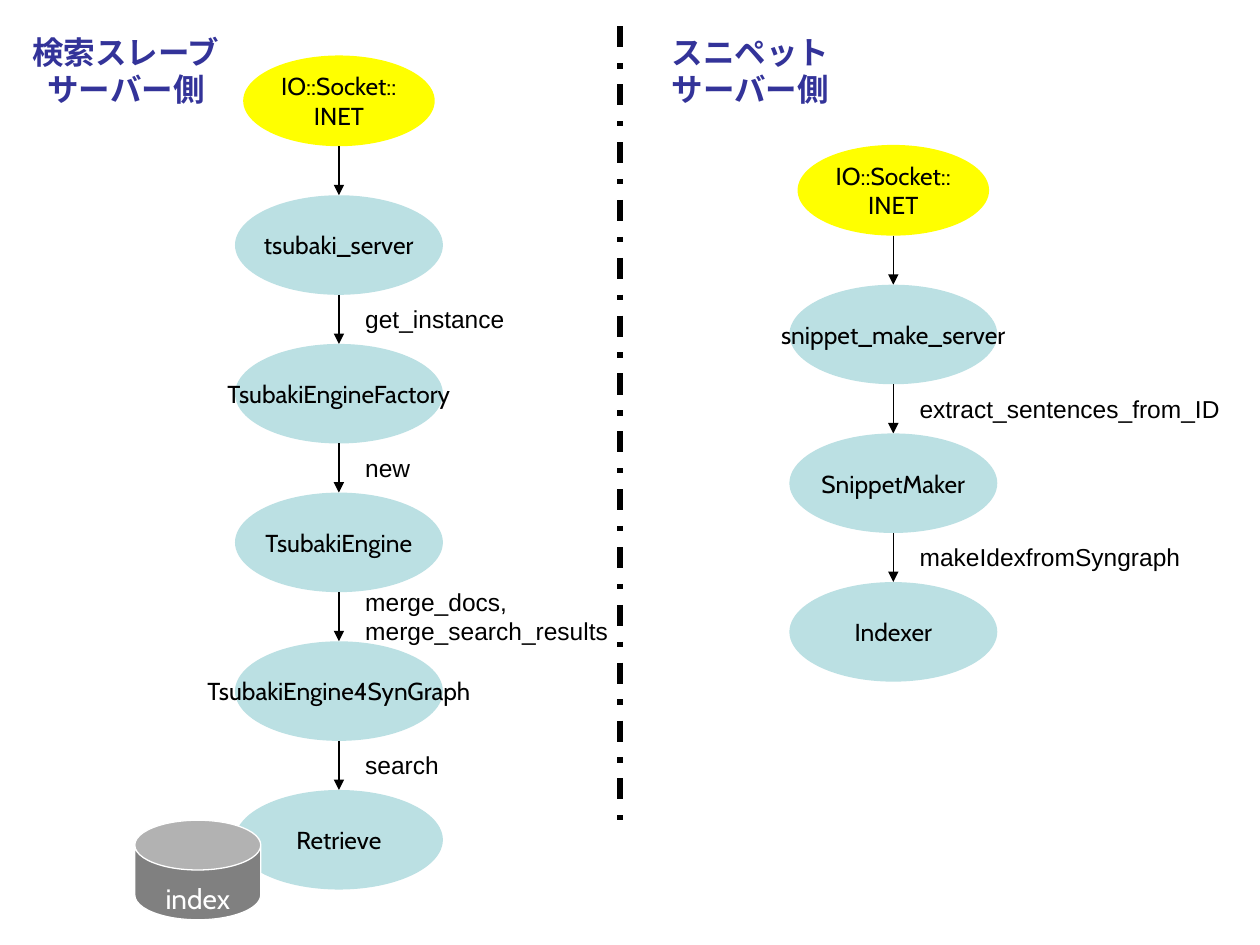
from lxml import etree
from pptx import Presentation
from pptx.dml.color import RGBColor
from pptx.enum import dml, shapes, text
from pptx.oxml.ns import qn
from pptx.util import Inches, Pt

COLORS = {
    "socket": "FFFF00", "module": "BBE0E3", "index": "808080",
    "heading": "333399", "black": "000000", "white": "FFFFFF",
}

# Flow grid, in inches
NODE_W, NODE_H = 1.65, 0.79
SOCKET_W, SOCKET_H = 1.52, 0.72
PITCH = 1.18
GAP = PITCH - NODE_H
LABEL_DX = 0.11

# Each step: module name, label of the arrow that leaves it, label width
SLAVE_STEPS = [
    ("tsubaki_server", "get_instance", 1.32),
    ("TsubakiEngineFactory", "new", 0.58),
    ("TsubakiEngine", "merge_docs,\nmerge_search_results", 2.15),
    ("TsubakiEngine4SynGraph", "search", 0.8),
    ("Retrieve", None, 0),
]
SNIPPET_STEPS = [
    ("snippet_make_server", "extract_sentences_from_ID", 2.6),
    ("SnippetMaker", "makeIdexfromSyngraph", 2.29),
    ("Indexer", None, 0),
]


def rgb(name):
    return RGBColor.from_string(COLORS[name])


def write(sp, words, size, font, color="black", align=text.PP_ALIGN.CENTER, bold=False):
    tf = sp.text_frame
    tf.word_wrap = False
    p = tf.paragraphs[0]
    p.text = words
    p.alignment = align
    p.font.size, p.font.name, p.font.bold = Pt(size), font, bold
    p.font.color.rgb = rgb(color)
    return tf


def add_node(slide, kind, box, words, fill, size=14, color="black"):
    sp = slide.shapes.add_shape(kind, *map(Inches, box))
    sp.shadow.inherit = False
    sp.fill.solid()
    sp.fill.fore_color.rgb = rgb(fill)
    sp.line.fill.background()
    write(sp, words, size, "Cabin", color).vertical_anchor = text.MSO_ANCHOR.MIDDLE
    return sp


def add_text(slide, box, words, size, **style):
    sp = slide.shapes.add_textbox(*map(Inches, box))
    tf = write(sp, words, size, "Arial", **style)
    tf.auto_size = text.MSO_AUTO_SIZE.SHAPE_TO_FIT_TEXT


def add_vertical(slide, x, top, bottom, width):
    line = slide.shapes.add_connector(
        shapes.MSO_CONNECTOR.STRAIGHT, *map(Inches, (x, top, x, bottom)))
    line.line.color.rgb = rgb("black")
    line.line.width = Pt(width)
    etree.SubElement(line._element.spPr, qn("a:effectLst"))
    return line


def add_arrow(slide, x, top):
    arrow = add_vertical(slide, x, top, top + GAP, 0.75)
    etree.SubElement(arrow.line._get_or_add_ln(), qn("a:tailEnd"), type="triangle")


def add_flow(slide, x, top, steps):
    """Socket, then a column of modules centred on x, joined by arrows."""
    oval = shapes.MSO_SHAPE.OVAL
    add_node(slide, oval, (x - SOCKET_W / 2, top, SOCKET_W, SOCKET_H),
             "IO::Socket::\nINET", "socket")
    add_arrow(slide, x, top + SOCKET_H)
    first = top + SOCKET_H + GAP
    for row, (name, label, width) in enumerate(steps):
        y = first + row * PITCH
        add_node(slide, oval, (x - NODE_W / 2, y, NODE_W, NODE_H), name, "module")
        if label:
            add_arrow(slide, x, y + NODE_H)
            height = 0.57 if "\n" in label else 0.34
            middle = y + NODE_H + GAP / 2
            add_text(slide, (x + LABEL_DX, middle - height / 2, width, height),
                     label, 14, align=text.PP_ALIGN.LEFT)


def add_index(slide):
    can = add_node(slide, shapes.MSO_SHAPE.CAN, (1.07, 6.51, 1, 0.79),
                   "index", "index", 16, "white")
    can.adjustments[0] = 0.5
    can.line.color.rgb = rgb("white")
    can.line.width = Pt(0.75)
    tf = can.text_frame
    tf.vertical_anchor = text.MSO_ANCHOR.TOP
    tf.margin_top, tf.margin_bottom = Inches(0.09), 0


def main():
    prs = Presentation()
    prs.slide_width, prs.slide_height = Inches(10), Inches(7.5)
    slide = prs.slides.add_slide(prs.slide_layouts[6])

    # Two server flows and the index store
    add_flow(slide, 2.69, 0.44, SLAVE_STEPS)
    add_index(slide)
    add_flow(slide, 7.09, 1.15, SNIPPET_STEPS)

    # Column headings
    for x, width, words in ((0.15, 1.7, "検索スレーブ\nサーバー側"),
                            (5.23, 1.45, "スニペット\nサーバー側")):
        add_text(slide, (x, 0.21, width, 0.7), words, 18, color="heading", bold=True)

    # Divider between the two sides
    divider = add_vertical(slide, 4.92, 0.21, 6.59, 3)
    divider.line.dash_style = dml.MSO_LINE.DASH_DOT

    prs.save("out.pptx")


if __name__ == "__main__":
    main()
